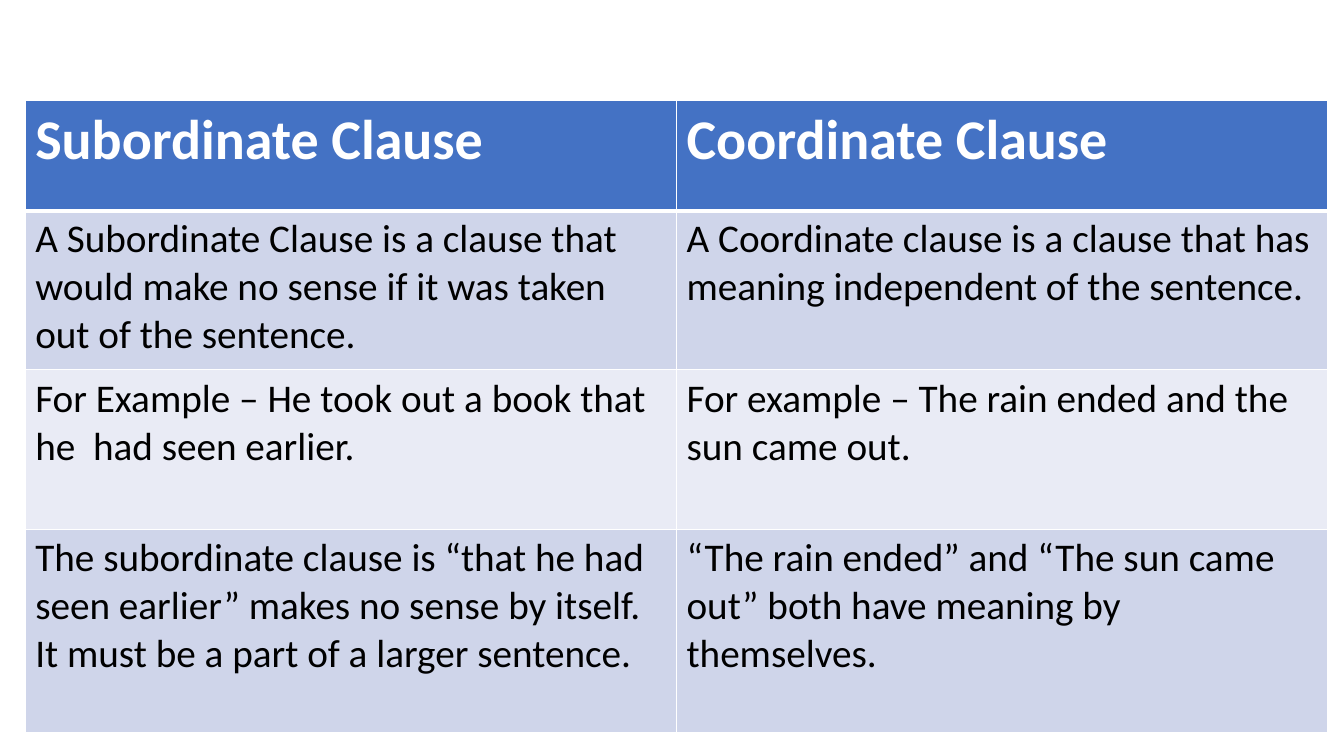
import lxml.etree
import pptx
import pptx.dml.color
import pptx.oxml.ns
import pptx.util

ROWS = [
    ("Subordinate Clause", "Coordinate Clause"),
    ("A Subordinate Clause is a clause that would make no sense if it was taken out of the sentence.",
     "A Coordinate clause is a clause that has meaning independent of the sentence."),
    ("For Example – He took out a book that he  had seen earlier.",
     "For example – The rain ended and the sun came out."),
    ("The subordinate clause is “that he had seen earlier” makes no sense by itself. "
     "It must be a part of a larger sentence.",
     "“The rain ended” and “The sun came out” both have meaning by themselves."),
]
ROW_HEIGHTS = [1.09, 1.58, 1.58, 2.02]
COLUMN_WIDTH = 6.46
HEADER_FILL = "4472C4"
BAND_FILLS = ["E9EBF5", "CFD5EA"]


def color(hex_value):
    return pptx.dml.color.RGBColor.from_string(hex_value)


def write(tf, text, size=28, bold=False, fill="000000", font="Calibri"):
    p = tf.paragraphs[0]
    r = p.add_run()
    r.text = text
    r.font.name = font
    r.font.size = pptx.util.Pt(size)
    r.font.bold = bold
    r.font.color.rgb = color(fill)


def set_borders(cell, widths, line_color="FFFFFF"):
    """Add one solid line per side; widths maps L, R, T, B to points."""
    qn = pptx.oxml.ns.qn
    tcPr = cell._tc.get_or_add_tcPr()
    for i, side in enumerate("LRTB"):
        ln = lxml.etree.Element(qn("a:ln" + side), w=str(pptx.util.Pt(widths[side])))
        solid = lxml.etree.SubElement(ln, qn("a:solidFill"))
        lxml.etree.SubElement(solid, qn("a:srgbClr"), val=line_color)
        tcPr.insert(i, ln)


def add_clause_table(s, left, top):
    inch = pptx.util.Inches
    table = s.shapes.add_table(
        len(ROWS), len(ROWS[0]), inch(left), inch(top),
        inch(COLUMN_WIDTH * len(ROWS[0])), inch(sum(ROW_HEIGHTS))).table
    for column in table.columns:
        column.width = inch(COLUMN_WIDTH)
    for i, (texts, height) in enumerate(zip(ROWS, ROW_HEIGHTS)):
        table.rows[i].height = inch(height)
        for j, text in enumerate(texts):
            cell = table.cell(i, j)
            cell.fill.solid()
            cell.fill.fore_color.rgb = color(BAND_FILLS[i % 2] if i else HEADER_FILL)
            set_borders(cell, {"L": 1, "R": 1, "T": 3 if i == 1 else 1, "B": 1 if i else 3})
            if i == 0:
                write(cell.text_frame, text, size=40, bold=True, fill="FFFFFF")
            else:
                write(cell.text_frame, text)


def main():
    prs = pptx.Presentation()
    prs.slide_width = pptx.util.Inches(13.33)
    prs.slide_height = pptx.util.Inches(7.5)
    s = prs.slides.add_slide(prs.slide_layouts[6])
    add_clause_table(s, left=0.25, top=1)
    prs.save("out.pptx")


if __name__ == "__main__":
    main()
